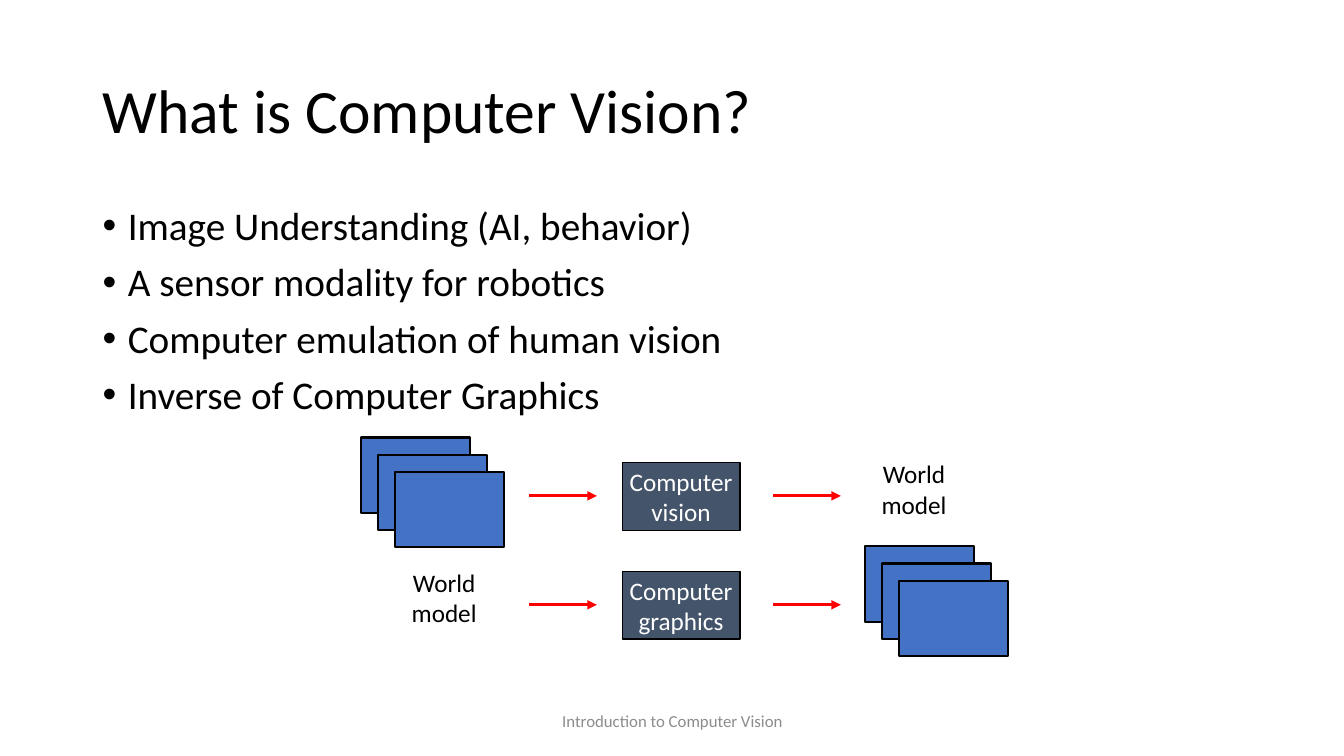
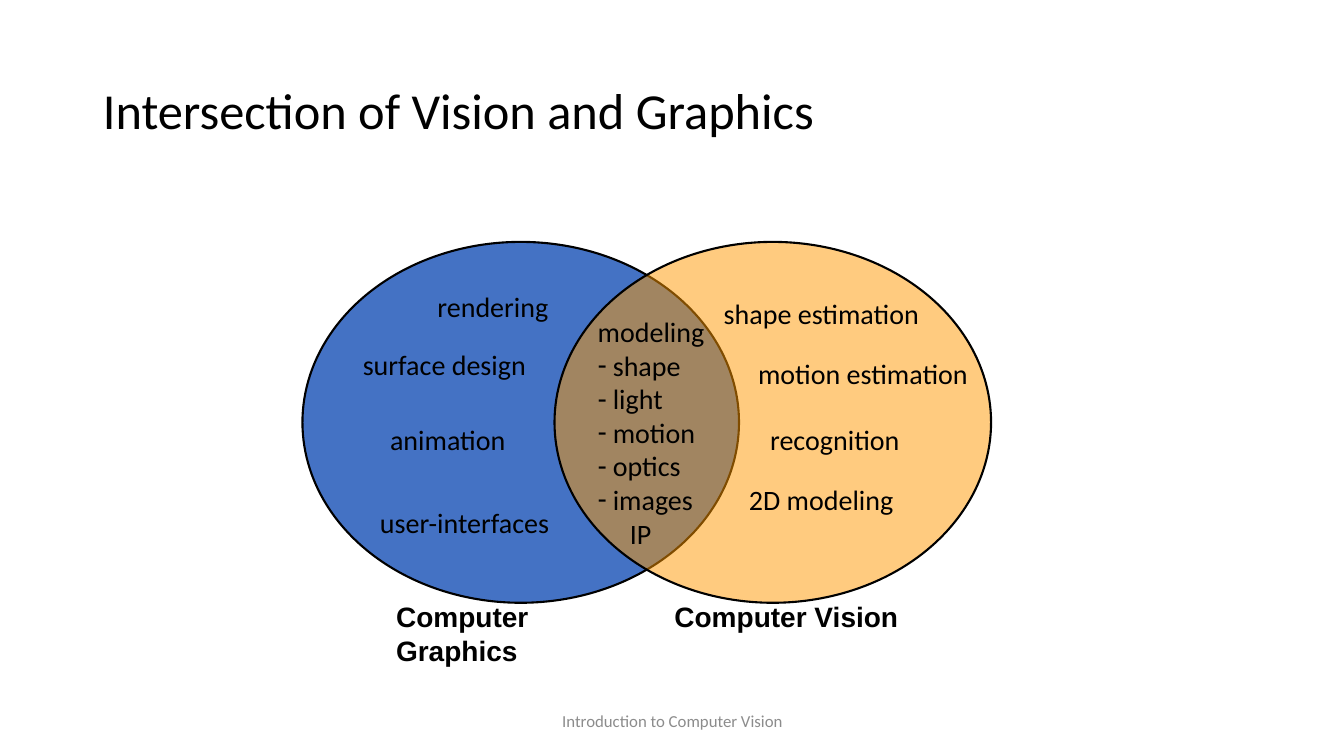
from dataclasses import dataclass
from lxml import etree
from pptx import Presentation
from pptx.dml.color import RGBColor
from pptx.enum import shapes, text
from pptx.oxml import ns
from pptx.util import Inches, Pt


@dataclass(frozen=True)
class Theme:
    ink: str = "000000"
    muted: str = "8C8C8C"
    light: str = "FFFFFF"
    blue: str = "4472C4"
    slate: str = "44546A"
    orange: str = "FF9900"
    red: str = "FF0000"
    face: str = "Calibri"
    label_face: str = "Arial"
    title: int = 44
    small_title: int = 36
    body: int = 28
    topic: int = 20
    diagram: int = 18
    footer: int = 12


THEME = Theme()
LEFT, CENTER = text.PP_ALIGN.LEFT, text.PP_ALIGN.CENTER
MIDDLE, TOP = text.MSO_ANCHOR.MIDDLE, text.MSO_ANCHOR.TOP
FOOTER = "Introduction to Computer Vision"


def set_attributes(target, **values):
    for name, value in values.items():
        setattr(target, name, value)


def inches(*lengths):
    return [Inches(length) for length in lengths]


def add_child(parent, tag, **attributes):
    return etree.SubElement(parent, ns.qn(tag), attributes)


def set_indent(para, indent, bullet=None):
    properties = para._p.get_or_add_pPr()
    properties.set("marL", str(Inches(indent)))
    properties.set("indent", str(-Inches(indent) if bullet else 0))
    if bullet:
        add_child(properties, "a:buFont", typeface=THEME.label_face)
        add_child(properties, "a:buChar", char=bullet)


def write(frame, lines, size, color=THEME.ink, face=THEME.face, bold=False,
          align=LEFT, anchor=TOP, wrap=False, indents=None, **spacing):
    set_attributes(frame, word_wrap=wrap, vertical_anchor=anchor)
    for index, line in enumerate(lines):
        para = frame.paragraphs[0] if index == 0 else frame.add_paragraph()
        if indents and indents[index]:
            set_indent(para, *indents[index])
        set_attributes(para, alignment=align, **spacing)
        if index == 0:
            para.space_before = Pt(0)
        span = para.add_run()
        span.text = line
        set_attributes(span.font, size=Pt(size), name=face, bold=bold)
        span.font.color.rgb = RGBColor.from_string(color)


def add_text(page, box, lines, size, grow=True, **style):
    label = page.shapes.add_textbox(*inches(*box))
    write(label.text_frame, lines, size, **style)
    fit = text.MSO_AUTO_SIZE
    label.text_frame.auto_size = fit.SHAPE_TO_FIT_TEXT if grow else fit.NONE


def add_figure(page, kind, box, fill, line_width=1.5, opacity=None):
    figure = page.shapes.add_shape(kind, *inches(*box))
    figure.shadow.inherit = False
    figure.fill.solid()
    figure.fill.fore_color.rgb = RGBColor.from_string(fill)
    figure.line.color.rgb = RGBColor.from_string(THEME.ink)
    figure.line.width = Pt(line_width)
    if opacity:
        color = figure._element.spPr.find(".//" + ns.qn("a:srgbClr"))
        add_child(color, "a:alpha", val=str(opacity * 1000))
    return figure


def add_arrow(page, left, middle, length=0.67):
    arrow = page.shapes.add_connector(
        shapes.MSO_CONNECTOR.STRAIGHT, *inches(left, middle, left + length, middle))
    arrow.line.color.rgb = RGBColor.from_string(THEME.red)
    arrow.line.width = Pt(2.25)
    add_child(arrow.line._get_or_add_ln(), "a:tailEnd", type="triangle")
    add_child(arrow._element.spPr, "a:effectLst")


def start_page(deck, title, size):
    page = deck.slides.add_slide(deck.slide_layouts[5])
    add_text(page, (4.42, 6.95, 4.5, 0.4), [FOOTER], THEME.footer, grow=False,
             color=THEME.muted, align=CENTER, anchor=MIDDLE, wrap=True)
    heading = page.shapes.title
    left, top, width, height = inches(0.92, 0.4, 11.5, 1.45)
    set_attributes(heading, left=left, top=top, width=width, height=height)
    write(heading.text_frame, [title], size, anchor=MIDDLE, wrap=True, line_spacing=0.9)
    heading.text_frame.auto_size = text.MSO_AUTO_SIZE.NONE
    return page


def add_image_stack(page, left, middle):
    for index in range(3):
        shift = index * 0.17
        add_figure(page, shapes.MSO_SHAPE.RECTANGLE,
                   (left + shift, middle - 0.58 + shift, 1.08, 0.75), THEME.blue)


def add_world_model(page, left, middle):
    add_text(page, (left, middle - 0.42, 0.89, 0.71), ["World", "model"],
             THEME.diagram, align=CENTER)


def add_flow(page, left, middle, source, process, result):
    add_source, source_shift = source
    add_result, result_shift = result
    add_source(page, left + source_shift, middle)
    add_arrow(page, left + 1.67, middle)
    step = add_figure(page, shapes.MSO_SHAPE.RECTANGLE,
                      (left + 2.59, middle - 0.33, 1.17, 0.67), THEME.slate, 0.75)
    write(step.text_frame, ["Computer", process], THEME.diagram,
          color=THEME.light, align=CENTER, anchor=MIDDLE)
    add_arrow(page, left + 4.09, middle)
    add_result(page, left + result_shift, middle)


def build_definition(deck):
    page = start_page(deck, "What is Computer Vision?", THEME.title)
    points = ["Image Understanding (AI, behavior)", "A sensor modality for robotics",
              "Computer emulation of human vision", "Inverse of Computer Graphics"]
    add_text(page, (0.92, 2, 11.5, 4.76), points, THEME.body, grow=False, wrap=True,
             indents=[(0.25, "•")] * len(points), line_spacing=0.9, space_before=Pt(10))
    add_flow(page, 3.58, 4.92, (add_image_stack, 0), "vision", (add_world_model, 5.04))
    add_flow(page, 3.58, 6, (add_world_model, 0.38), "graphics", (add_image_stack, 5))


def add_field(page, left, top, fill, topics, opacity=None):
    add_figure(page, shapes.MSO_SHAPE.OVAL, (left, top, 4.33, 3.58), fill, opacity=opacity)
    for name, across, down, width in topics:
        add_text(page, (left + across, top + down, width, 0.44), [name], THEME.topic)


def add_field_name(page, left, width, name, wrap=False):
    add_text(page, (left, 5.9, width, 0.43), [name], THEME.topic,
             face=THEME.label_face, bold=True, wrap=wrap)


def build_intersection(deck):
    page = start_page(deck, "Intersection of Vision and Graphics", THEME.small_title)
    add_field(page, 3, 2.4, THEME.blue, [
        ("rendering", 1.24, 0.42, 1.31),
        ("surface design", 0.5, 1, 1.84),
        ("animation", 0.77, 1.74, 1.36),
        ("user-interfaces", 0.67, 2.57, 1.91),
    ])
    add_field(page, 5.5, 2.4, THEME.orange, [
        ("shape estimation", 1.58, 0.49, 2.16),
        ("motion estimation", 1.92, 1.09, 2.31),
        ("recognition", 2.04, 1.74, 1.5),
        ("2D modeling", 1.83, 2.34, 1.66),
    ], opacity=50)
    shared = ["shape", "light", "motion", "optics", "images"]
    add_text(page, (5.83, 3.07, 1.27, 2.46), ["modeling", *shared, "IP"], THEME.topic,
             indents=[None, *[(0.15, "-")] * len(shared), (0.32,)])
    add_field_name(page, 3.83, 1.9, "Computer Graphics", wrap=True)
    add_field_name(page, 6.59, 2.42, "Computer Vision")


def main():
    deck = Presentation()
    set_attributes(deck, slide_width=Inches(13.33), slide_height=Inches(7.5))
    build_definition(deck)
    build_intersection(deck)
    deck.save("out.pptx")


if __name__ == "__main__":
    main()
